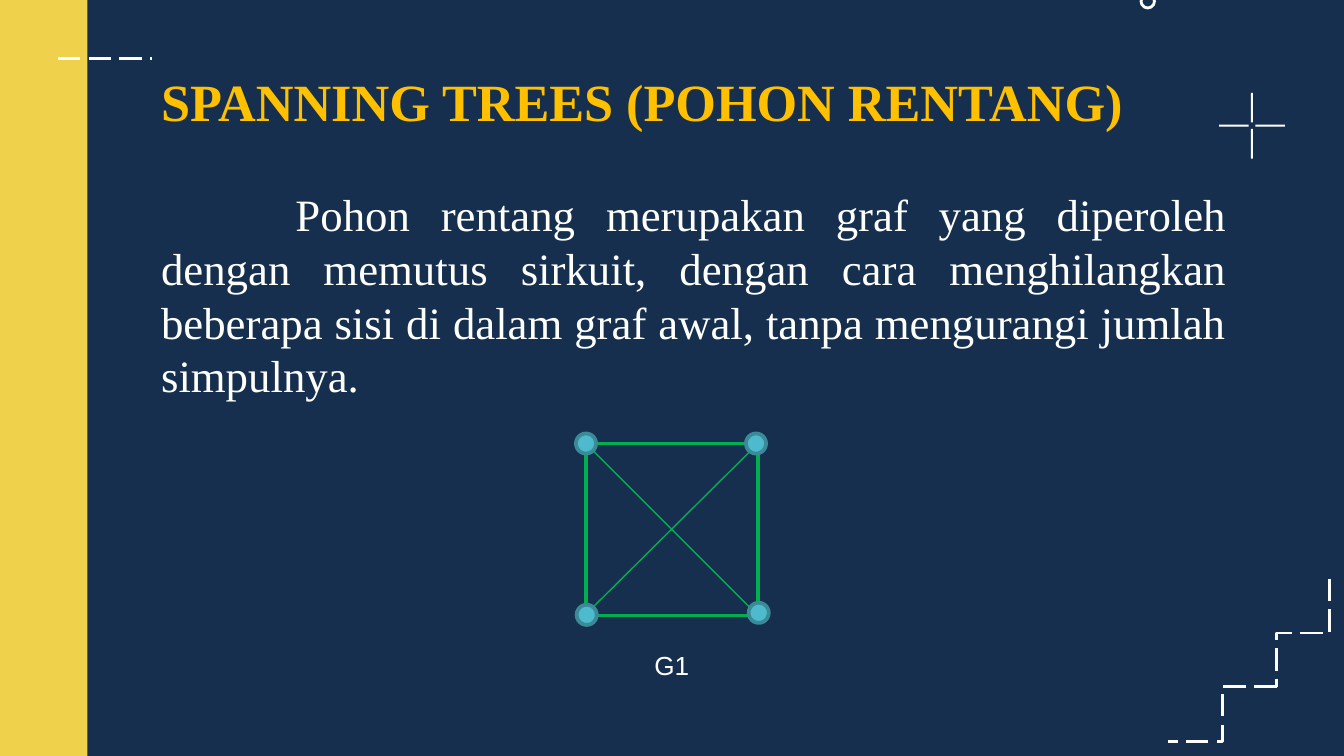
from lxml import etree
from pptx import Presentation
from pptx.dml.color import RGBColor
from pptx.enum.dml import MSO_LINE
from pptx.enum.shapes import MSO_CONNECTOR, MSO_SHAPE
from pptx.enum.text import MSO_ANCHOR, PP_ALIGN
from pptx.oxml.ns import qn
from pptx.util import Inches, Pt

COLUMNS, ROWS = 100, 56.25
NAVY, YELLOW, GOLD, WHITE = "162F4F", "EFD14C", "FFC000", "FEFFFA"
GREEN, CYAN, TEAL = "00B050", "4EBACE", "3A8A98"


def colour(value):
    return RGBColor.from_string(value)


class Canvas:
    heading_font = "Times New Roman"
    label_font = "Arial"

    def __init__(self, presentation):
        self.column = presentation.slide_width / COLUMNS
        self.row = presentation.slide_height / ROWS
        self.slide = presentation.slides.add_slide(presentation.slide_layouts[6])
        self.slide.background.fill.solid()
        self.slide.background.fill.fore_color.rgb = colour(NAVY)

    def place(self, x, y):
        return round(x * self.column), round(y * self.row)

    def shape(self, kind, x, y, width, height, fill=None, line=None, weight=1.5):
        shape = self.slide.shapes.add_shape(
            kind, *self.place(x, y), *self.place(width, height))
        shape.shadow.inherit = False
        if fill:
            shape.fill.solid()
            shape.fill.fore_color.rgb = colour(fill)
        else:
            shape.fill.background()
        if line:
            shape.line.color.rgb = colour(line)
            shape.line.width = Pt(weight)
        else:
            shape.line.fill.background()

    def line(self, start, end, value, weight, kind=MSO_CONNECTOR.STRAIGHT,
             dashed=False, turn=0):
        connector = self.slide.shapes.add_connector(
            kind, *self.place(*start), *self.place(*end))
        connector.line.color.rgb = colour(value)
        connector.line.width = Pt(weight)
        if dashed:
            connector.line.dash_style = MSO_LINE.LONG_DASH
        properties = connector._element.spPr
        etree.SubElement(properties, qn("a:effectLst"))
        if turn:
            properties.find(qn("a:xfrm")).set("rot", str(turn * 60000))

    def text(self, words, x, y, width, height, size, value, font, bold=False,
             anchor=MSO_ANCHOR.TOP, align=PP_ALIGN.LEFT, indent=0,
             wrap=True, vertical_inset=0.1):
        box = self.slide.shapes.add_textbox(
            *self.place(x, y), *self.place(width, height))
        frame = box.text_frame
        frame.text = words
        frame.word_wrap = wrap
        frame.vertical_anchor = anchor
        frame.margin_left = frame.margin_right = Inches(0.1)
        frame.margin_top = frame.margin_bottom = Inches(vertical_inset)
        paragraph = frame.paragraphs[0]
        paragraph.alignment = align
        if indent:
            paragraph._p.get_or_add_pPr().set("indent", str(Inches(indent)))
        for run in paragraph.runs:
            run.font.name = font
            run.font.size = Pt(size)
            run.font.bold = bold
            run.font.color.rgb = colour(value)


presentation = Presentation()
presentation.slide_width = Inches(10)
presentation.slide_height = presentation.slide_width * 9 // 16
canvas = Canvas(presentation)

canvas.shape(MSO_SHAPE.RECTANGLE, 0, 0, 6.5, ROWS, YELLOW)
canvas.line((4.3, 4.35), (11.3, 4.35), WHITE, 1.5, dashed=True)
canvas.shape(MSO_SHAPE.OVAL, 84.9, -0.4, 1, 1, line=WHITE)

canvas.text("SPANNING TREES (POHON RENTANG)", 11, 4, 81.2, 7, 28, GOLD,
            canvas.heading_font, bold=True, anchor=MSO_ANCHOR.MIDDLE)
canvas.text("Pohon rentang merupakan graf yang diperoleh dengan memutus sirkuit, "
            "dengan cara menghilangkan beberapa sisi di dalam graf awal, tanpa "
            "mengurangi jumlah simpulnya.", 11, 12.9, 81.2, 14.8, 24, WHITE,
            canvas.heading_font, align=PP_ALIGN.JUSTIFY, indent=1)

for start, end, turn in (((92.9, 45.1), (101, 49.1), 90),
                         ((95, 51.1), (86.9, 55.2), 0)):
    canvas.line(start, end, WHITE, 1.5, MSO_CONNECTOR.ELBOW, True, turn)

cross_x, cross_y, arm, thickness = 93.15, 9.35, 2.2, 0.15
for offset in (-2.45, 0.25):
    canvas.shape(MSO_SHAPE.RECTANGLE, cross_x - thickness / 2, cross_y + offset,
                 thickness, arm, WHITE)
    canvas.shape(MSO_SHAPE.RECTANGLE, cross_x + offset, cross_y - thickness / 2,
                 arm, thickness, WHITE)

left, top, side, node = 43.6, 33, 12.8, 1.5
right, bottom = left + side, top + side
canvas.shape(MSO_SHAPE.RECTANGLE, left, top, side, side, line=GREEN, weight=2)
canvas.line((right, bottom), (left, top), GREEN, 0.75)
canvas.line((right, top), (43.7, 45.6), GREEN, 0.75)
for x, y in ((55.5, 32.25), (42.9, 45), (55.7, 44.85), (42.85, 32.25)):
    canvas.shape(MSO_SHAPE.OVAL, x, y, node, node, CYAN, TEAL, 2)
canvas.text("G1", 47.7, 47.8, 4.6, 3.4, 14, WHITE, canvas.label_font,
            wrap=False, vertical_inset=0.05)

presentation.save("out.pptx")
